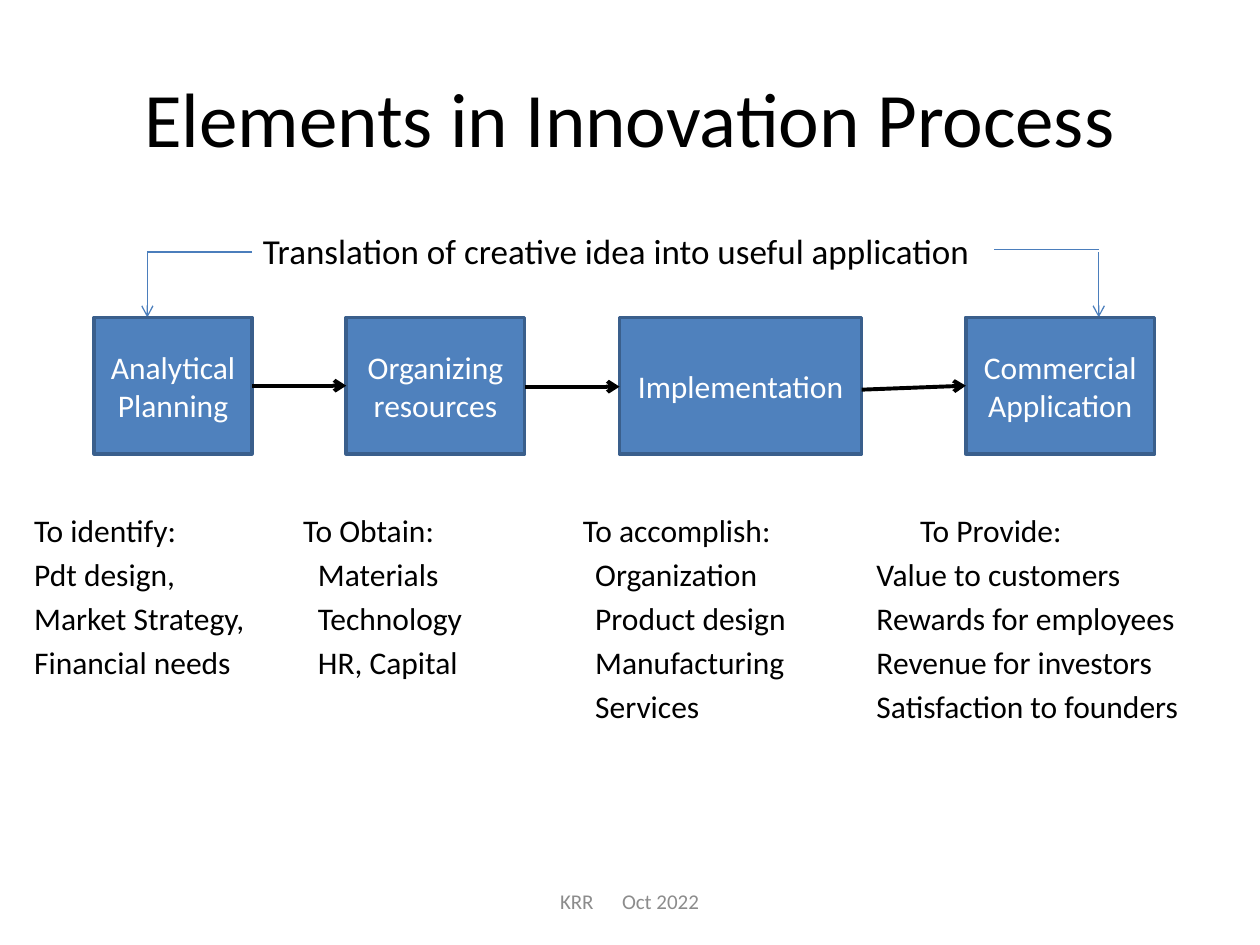
from dataclasses import dataclass
from lxml import etree
from pptx import Presentation, util as u
from pptx.dml.color import RGBColor
from pptx.enum import shapes, text
from pptx.oxml.ns import qn


@dataclass(frozen=True)
class Theme:
    """Colours, font and type sizes of the slide."""
    font: str = "Calibri"
    ink: str = "000000"
    box: str = "4F81BD"
    edge: str = "3A5F8C"
    bracket: str = "4B7EBC"
    light: str = "FFFFFF"
    muted: str = "8C8C8C"
    title: int = 44
    lead: int = 20
    body: int = 18
    foot: int = 12


T = Theme()
LEFT, CENTER = text.PP_ALIGN.LEFT, text.PP_ALIGN.CENTER
MIDDLE, TOP = text.MSO_ANCHOR.MIDDLE, text.MSO_ANCHOR.TOP

# label, left, width (cm)
STAGES = [
    ("Analytical Planning", 1.9, 3.18),
    ("Organizing resources", 6.98, 3.6),
    ("Implementation", 12.49, 4.88),
    ("Commercial Application", 19.47, 3.81),
]
# left, heading indent, item indent (cm), heading, items
GOALS = [
    (0.69, 0, 0, "To identify:",
     ["Pdt design,", "Market Strategy,", "Financial needs"]),
    (6.11, 0, 0.3, "To Obtain:", ["Materials", "Technology", "HR, Capital"]),
    (11.75, 0, 0.25, "To accomplish:",
     ["Organization", "Product design", "Manufacturing", "Services"]),
    (17.67, 0.88, 0, "To Provide:",
     ["Value to customers", "Rewards for employees",
      "Revenue for investors", "Satisfaction to founders"]),
]


def style(p, size, color, align=LEFT):
    """Set font and alignment of a paragraph."""
    p.alignment = align
    p.font.name, p.font.size = T.font, u.Pt(size)
    p.font.color.rgb = RGBColor.from_string(color)


def add_text(s, box, lines, size, color=T.ink, align=LEFT, anchor=MIDDLE):
    """Add a text box without insets and return its paragraphs."""
    tf = s.shapes.add_textbox(*map(u.Cm, box)).text_frame
    tf.word_wrap, tf.vertical_anchor = True, anchor
    tf.margin_left = tf.margin_right = tf.margin_top = tf.margin_bottom = 0
    tf.text = "\n".join(lines)
    for p in tf.paragraphs:
        style(p, size, color, align)
    return tf.paragraphs


def add_line(s, start, end, color, width, arrow=False):
    """Draw a straight line, with an open arrowhead at its end if asked."""
    c = s.shapes.add_connector(shapes.MSO_CONNECTOR.STRAIGHT,
                               *map(u.Cm, (*start, *end)))
    c.line.color.rgb = RGBColor.from_string(color)
    c.line.width = u.Pt(width)
    if arrow:
        etree.SubElement(c.line._get_or_add_ln(), qn("a:tailEnd"), type="arrow")
    etree.SubElement(c._element.spPr, qn("a:effectLst"))


def add_stage(s, box, label):
    """Add one process box."""
    sp = s.shapes.add_shape(shapes.MSO_SHAPE.RECTANGLE, *map(u.Cm, box))
    sp.shadow.inherit = False
    sp.fill.solid()
    sp.fill.fore_color.rgb = RGBColor.from_string(T.box)
    sp.line.color.rgb = RGBColor.from_string(T.edge)
    sp.line.width = u.Pt(2)
    tf = sp.text_frame
    tf.word_wrap, tf.vertical_anchor = True, MIDDLE
    tf.text = label
    style(tf.paragraphs[0], T.body, T.light, CENTER)


def add_process(s, top, height):
    """Add the row of stages and the arrows joining them."""
    for label, left, width in STAGES:
        add_stage(s, (left, top, width, height), label)
    mid = top + height / 2
    ends = [(mid, mid), (mid + 0.02, mid + 0.02), (mid + 0.08, mid)]
    for (_, left, width), (_, after, _), (y1, y2) in zip(STAGES, STAGES[1:], ends):
        add_line(s, (left + width, y1), (after, y2), T.ink, 2.25, True)


def add_bracket(s, top, bottom):
    """Add the caption with a line and a falling arrow on either side."""
    add_text(s, (5.3, top - 0.54, 14.7, 1),
             ["Translation of creative idea into useful application"], T.lead)
    for inner, outer, y in ((5.08, 2.97, top), (20.04, 22.15, top - 0.05)):
        add_line(s, (inner, y), (outer, y), T.bracket, 0.75)
        add_line(s, (outer, top), (outer, bottom), T.bracket, 0.75, True)


def add_goals(s, top, width, height):
    """Add a column of goals for each stage."""
    for left, head_indent, item_indent, head, items in GOALS:
        paragraphs = add_text(s, (left, top, width, height), [head, *items],
                              T.body, anchor=TOP)
        for i, p in enumerate(paragraphs):
            p.space_after = u.Pt(3.6)
            indent = item_indent if i else head_indent
            p._p.get_or_add_pPr().set("marL", str(u.Cm(indent)))


def add_footer(s, top, height):
    """Add the author and the date."""
    for left, width, label in ((11.29, 1.1, "KRR"), (12.54, 2.2, "Oct 2022")):
        add_text(s, (left, top, width, height), [label], T.foot, T.muted)


def build():
    """Build and save the slide."""
    prs = Presentation()
    prs.slide_width, prs.slide_height = u.Cm(25.4), u.Cm(19.05)
    s = prs.slides.add_slide(prs.slide_layouts[6])
    add_text(s, (1.27, 0.76, 22.86, 3.18), ["Elements in Innovation Process"],
             T.title, align=CENTER)
    add_bracket(s, 5.08, 6.4)
    add_process(s, 6.4, 2.75)
    add_goals(s, 10.3, 6.6, 4.6)
    add_footer(s, 17.65, 1.02)
    prs.save("out.pptx")


build()
